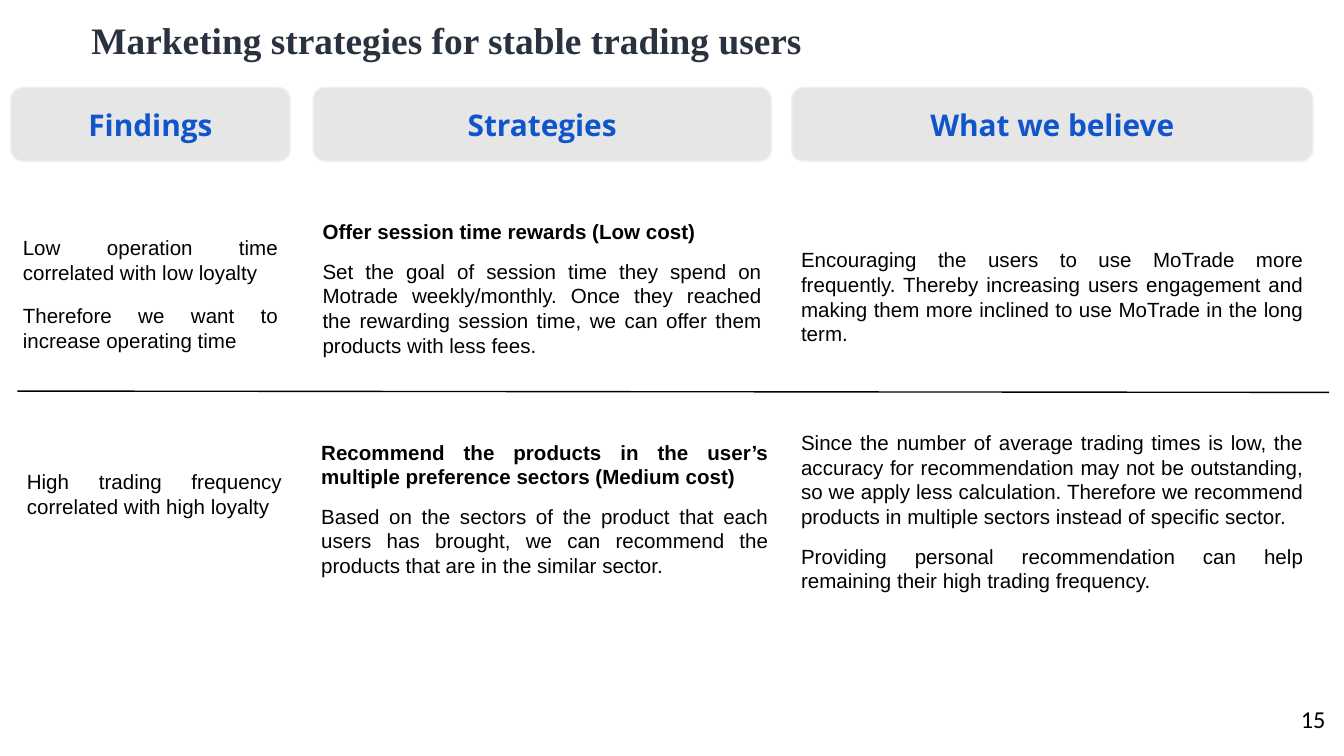
import pptx
import pptx.util
import pptx.dml.color
import pptx.enum.shapes
import pptx.enum.text
import lxml.etree

SHAPE = pptx.enum.shapes.MSO_SHAPE
ALIGN = pptx.enum.text.PP_ALIGN
ANCHOR = pptx.enum.text.MSO_ANCHOR
FIT = pptx.enum.text.MSO_AUTO_SIZE

TITLE = "Marketing strategies for stable trading users"
PAGE = "15"
HEADS = ["Findings", "Strategies", "What we believe"]
COLS = [(0.08, 2.08), (2.33, 3.41), (5.89, 3.88)]
BAND = (0.65, 0.55)

CELLS = [
    dict(col=0, shift=0.02, grow=-0.04, top=1.71, high=0.96, pad=0.04, gap=10, texts=[
        ("Low operation time correlated with low loyalty", False),
        ("Therefore we want to increase operating time", False)]),
    dict(col=1, top=1.56, high=1.19, texts=[
        ("Offer session time rewards (Low cost)", True),
        ("Set the goal of session time they spend on Motrade weekly/monthly. Once they "
         "reached the rewarding session time, we can offer them products with less fees.", False)]),
    dict(col=2, top=1.77, high=0.89, texts=[
        ("Encouraging the users to use MoTrade more frequently. Thereby increasing users "
         "engagement and making them more inclined to use MoTrade in the long term.", False)]),
    dict(col=0, shift=0.05, grow=-0.04, top=3.45, high=0.45, pad=0.04, texts=[
        ("High trading frequency correlated with high loyalty", False)]),
    dict(col=1, shift=-0.01, grow=0.06, top=3.2, high=1.19, texts=[
        ("Recommend the products in the user’s multiple preference sectors (Medium cost)", True),
        ("Based on the sectors of the product that each users has brought, we can recommend "
         "the products that are in the similar sector.", False)]),
    dict(col=2, top=3.13, high=1.37, texts=[
        ("Since the number of average trading times is low, the accuracy for recommendation "
         "may not be outstanding, so we apply less calculation. Therefore we recommend "
         "products in multiple sectors instead of specific sector.", False),
        ("Providing personal recommendation can help remaining their high trading frequency.", False)]),
]

THEME = dict(
    title=("Times New Roman", 20, "29323F"),
    head=("Open Sans", 16, "1155CC"),
    body=("Arial", 11, "000000"),
    page=("Calibri", 13, "000000"),
    fill="E7E6E6", edge="EEF2F5", rule="000000", line=0.75,
)


def inch(*nums):
    return [pptx.util.Inches(n) for n in nums]


def tint(code):
    return pptx.dml.color.RGBColor.from_string(code)


def frame(shape, side, pad, anchor=ANCHOR.TOP, fit=FIT.NONE):
    text = shape.text_frame
    text.word_wrap = True
    text.auto_size = fit
    text.vertical_anchor = anchor
    text.margin_left, text.margin_right, text.margin_top, text.margin_bottom = inch(
        side, side, pad, pad)
    return text


def write(para, words, role, align, bold=False):
    para.text = words
    para.alignment = align
    face, size, code = THEME[role]
    para.font.name = face
    para.font.size = pptx.util.Pt(size)
    para.font.bold = bold
    para.font.color.rgb = tint(code)


def stroke(line, code):
    line.color.rgb = tint(code)
    line.width = pptx.util.Pt(THEME["line"])


deck = pptx.Presentation()
deck.slide_width = pptx.util.Inches(10)
deck.slide_height = deck.slide_width * 9 // 16
slide = deck.slides.add_slide(deck.slide_layouts[5])
shapes = slide.shapes

title = shapes.title
title.left, title.top, title.width, title.height = inch(0.58, 0.08, 9.32, 0.55)
write(frame(title, 0.1, 0.05).paragraphs[0], TITLE, "title", ALIGN.JUSTIFY, True)

for cell in CELLS:
    left, wide = COLS[cell["col"]]
    box = shapes.add_textbox(*inch(
        left + cell.get("shift", 0), cell["top"], wide + cell.get("grow", 0), cell["high"]))
    text = frame(box, 0.07, cell.get("pad", 0.07), fit=FIT.SHAPE_TO_FIT_TEXT)
    for i, (words, bold) in enumerate(cell["texts"]):
        para = text.add_paragraph() if i else text.paragraphs[0]
        write(para, words, "body", ALIGN.JUSTIFY, bold)
        para.space_before = pptx.util.Pt(cell.get("gap", 8) if i else 0)

for words, (left, wide) in zip(HEADS, COLS):
    head = shapes.add_shape(SHAPE.ROUNDED_RECTANGLE, *inch(left, BAND[0], wide, BAND[1]))
    head.shadow.inherit = False
    head.fill.solid()
    head.fill.fore_color.rgb = tint(THEME["fill"])
    stroke(head.line, THEME["edge"])
    text = frame(head, 0.07, 0.07, ANCHOR.MIDDLE)
    write(text.paragraphs[0], words, "head", ALIGN.CENTER, True)

rule = shapes.add_connector(
    pptx.enum.shapes.MSO_CONNECTOR.STRAIGHT, *inch(0.13, 2.91, 9.89, 2.92))
stroke(rule.line, THEME["rule"])
lxml.etree.SubElement(rule._element.spPr, pptx.oxml.ns.qn("a:effectLst"))

page = shapes.add_textbox(*inch(9.36, 5.19, 0.6, 0.43))
write(frame(page, 0.1, 0.05).paragraphs[0], PAGE, "page", ALIGN.RIGHT)

deck.save("out.pptx")
